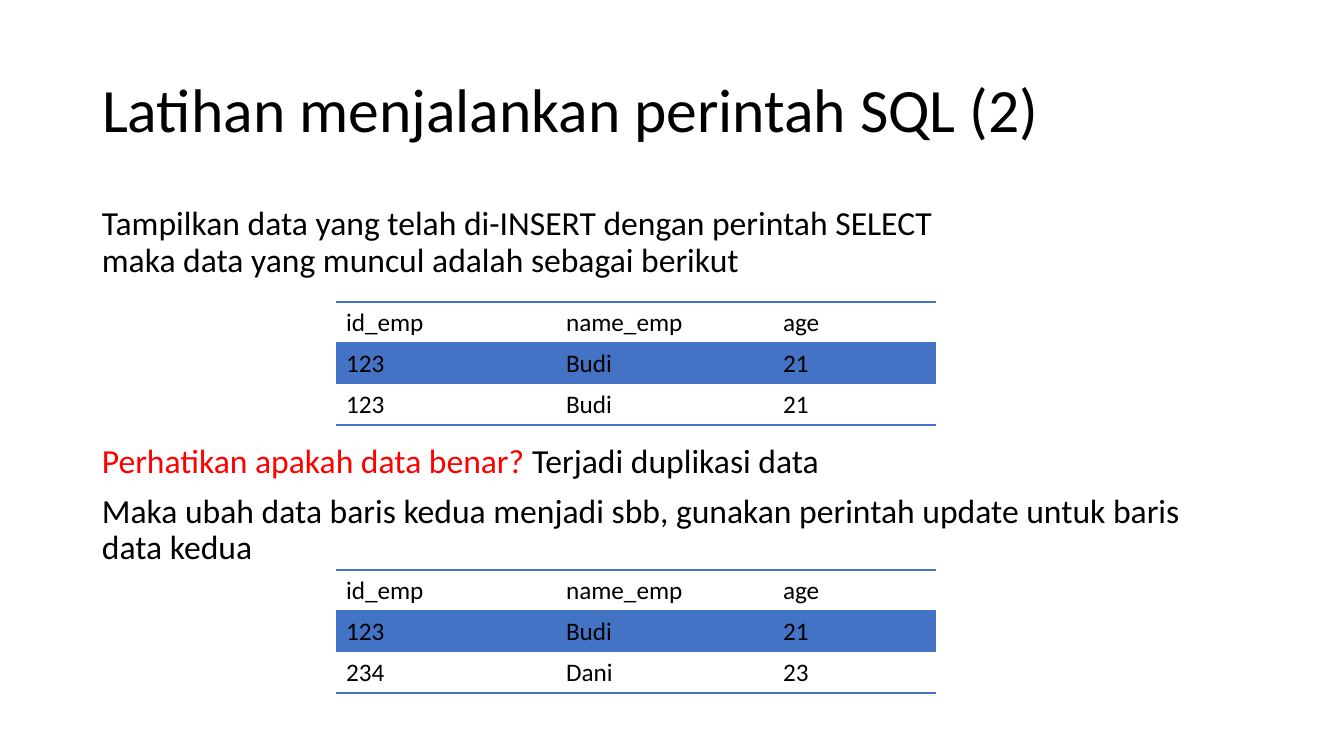
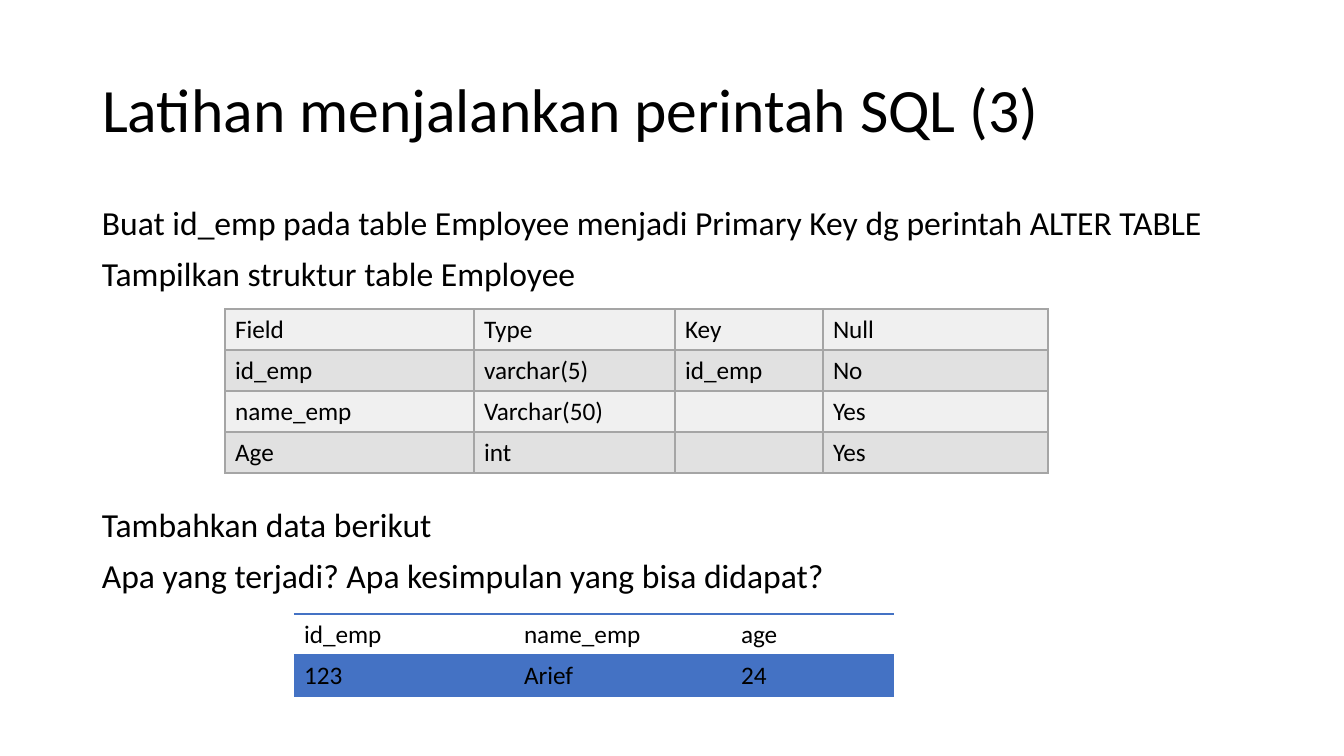
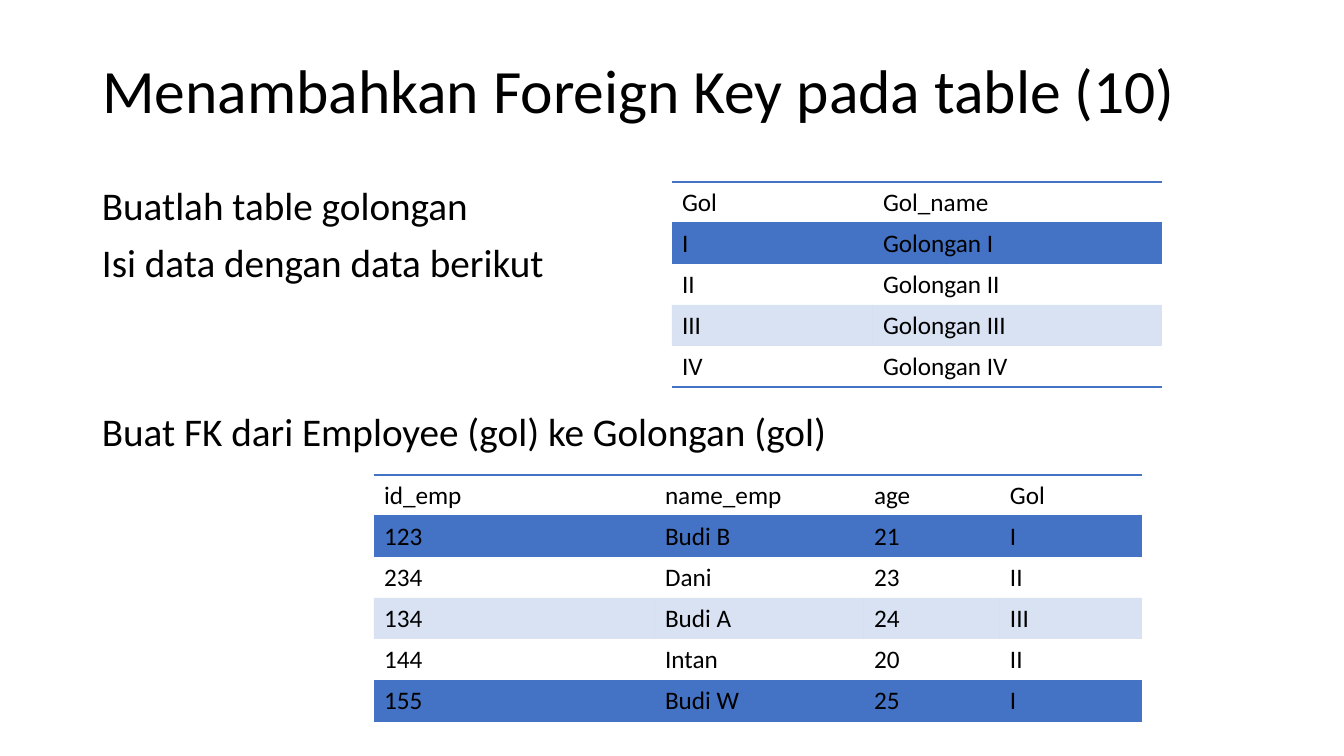
"""Build three slides of SQL exercises with text blocks and data tables."""
from dataclasses import dataclass

from lxml import etree
from pptx import Presentation
from pptx import util as u
from pptx.dml.color import RGBColor
from pptx.enum import text
from pptx.oxml.ns import qn

EMU_PER_PX = 914400 / 100.8
PAGE_WIDTH, PAGE_HEIGHT = 1344, 756
LEFT, TEXT_WIDTH = 92, 1159
TITLE_HEIGHT, ROW_HEIGHT = 146, 41
PLAIN_TABLE_STYLE = "{2D5ABB26-0587-4C30-8999-92F81FD0307C}"


@dataclass(frozen=True)
class Theme:
    font: str = "Calibri"
    ink: str = "000000"
    alert: str = "FF0000"
    accent: str = "4472C4"
    band_opacity: int = 20
    grid: str = "A5A5A5"
    grid_fills: tuple = ("F0F0F0", "E1E1E1")
    title_size: int = 44
    cell_size: int = 18
    line_spacing: float = 0.9
    space_before: int = 10
    border: int = 1


THEME = Theme()

EMPLOYEE_HEADER = ("id_emp", "name_emp", "age")
EMPLOYEE_COLUMNS = (220, 217, 163)

SLIDES = [
    {
        "title": "Latihan menjalankan perintah SQL (2)",
        "title_top": 40,
        "size": 24,
        "blocks": [
            (202, 90, [
                [("Tampilkan data yang telah di-INSERT dengan perintah SELECT\n"
                  "maka data yang muncul adalah sebagai berikut", THEME.ink)],
            ]),
            (439, 131, [
                [("Perhatikan apakah data benar? ", THEME.alert),
                 ("Terjadi duplikasi data", THEME.ink)],
                [("Maka ubah data baris kedua menjadi sbb, gunakan perintah "
                  "update untuk baris data kedua", THEME.ink)],
            ]),
        ],
        "tables": [
            ("banded", 336, 302, EMPLOYEE_COLUMNS, [
                EMPLOYEE_HEADER,
                ("123", "Budi", "21"),
                ("123", "Budi", "21"),
            ]),
            ("banded", 336, 570, EMPLOYEE_COLUMNS, [
                EMPLOYEE_HEADER,
                ("123", "Budi", "21"),
                ("234", "Dani", "23"),
            ]),
        ],
    },
    {
        "title": "Latihan menjalankan perintah SQL (3)",
        "title_top": 40,
        "size": 24,
        "blocks": [
            (202, 100, [
                [("Buat id_emp pada table Employee menjadi Primary Key dg "
                  "perintah ALTER TABLE", THEME.ink)],
                [("Tampilkan struktur table Employee", THEME.ink)],
            ]),
            (504, 100, [
                [("Tambahkan data berikut", THEME.ink)],
                [("Apa yang terjadi? Apa kesimpulan yang bisa didapat?",
                  THEME.ink)],
            ]),
        ],
        "tables": [
            ("grid", 225, 309, (249, 201, 148, 225), [
                ("Field", "Type", "Key", "Null"),
                ("id_emp", "varchar(5)", "id_emp", "No"),
                ("name_emp", "Varchar(50)", "", "Yes"),
                ("Age", "int", "", "Yes"),
            ]),
            ("banded", 294, 614, EMPLOYEE_COLUMNS, [
                EMPLOYEE_HEADER,
                ("123", "Arief", "24"),
            ]),
        ],
    },
    {
        "title": "Menambahkan Foreign Key pada table (10)",
        "title_top": 21,
        "size": 28,
        "blocks": [
            (182, 110, [
                [("Buatlah table golongan", THEME.ink)],
                [("Isi data dengan data berikut", THEME.ink)],
            ]),
            (408, 55, [
                [("Buat FK dari Employee (gol) ke Golongan (gol)", THEME.ink)],
            ]),
        ],
        "tables": [
            ("banded", 672, 182, (201, 289), [
                ("Gol", "Gol_name"),
                ("I", "Golongan I"),
                ("II", "Golongan II"),
                ("III", "Golongan III"),
                ("IV", "Golongan IV"),
            ]),
            ("banded", 374, 475, (281, 209, 136, 142), [
                EMPLOYEE_HEADER + ("Gol",),
                ("123", "Budi B", "21", "I"),
                ("234", "Dani", "23", "II"),
                ("134", "Budi A", "24", "III"),
                ("144", "Intan", "20", "II"),
                ("155", "Budi W", "25", "I"),
            ]),
        ],
    },
]


def px(length):
    return u.Emu(round(length * EMU_PER_PX))


def set_font(paragraph, size, color=THEME.ink):
    paragraph.font.name = THEME.font
    paragraph.font.size = u.Pt(size)
    paragraph.font.color.rgb = RGBColor.from_string(color)


def add_title(page, wording, top):
    title = page.shapes.title
    title.left, title.top = px(LEFT), px(top)
    title.width, title.height = px(TEXT_WIDTH), px(TITLE_HEIGHT)
    frame = title.text_frame
    frame.text = wording
    frame.auto_size = text.MSO_AUTO_SIZE.NONE
    frame.vertical_anchor = text.MSO_ANCHOR.MIDDLE
    paragraph = frame.paragraphs[0]
    paragraph.alignment = text.PP_ALIGN.LEFT
    paragraph.line_spacing = THEME.line_spacing
    set_font(paragraph, THEME.title_size)


def add_span(paragraph, wording, color):
    for index, line in enumerate(wording.split("\n")):
        if index:
            paragraph.add_line_break()
        span = paragraph.add_run()
        span.text = line
        if color != THEME.ink:
            span.font.color.rgb = RGBColor.from_string(color)


def add_block(page, top, height, paragraphs, size):
    box = page.shapes.add_textbox(px(LEFT), px(top), px(TEXT_WIDTH), px(height))
    frame = box.text_frame
    frame.word_wrap = True
    for index, spans in enumerate(paragraphs):
        paragraph = frame.add_paragraph() if index else frame.paragraphs[0]
        paragraph.line_spacing = THEME.line_spacing
        paragraph.space_before = u.Pt(THEME.space_before if index else 0)
        set_font(paragraph, size)
        for wording, color in spans:
            add_span(paragraph, wording, color)


def set_borders(cell, sides, color):
    properties = cell._tc.get_or_add_tcPr()
    for side in "LRTB":
        width = u.Pt(THEME.border) if side in sides else 0
        line = etree.SubElement(properties, qn(f"a:ln{side}"), w=str(width))
        if side in sides:
            fill = etree.SubElement(line, qn("a:solidFill"))
            etree.SubElement(fill, qn("a:srgbClr"), val=color)
        else:
            etree.SubElement(line, qn("a:noFill"))


def fill_cell(cell, color, opacity=100):
    cell.fill.solid()
    cell.fill.fore_color.rgb = RGBColor.from_string(color)
    if opacity < 100:
        tint = cell._tc.tcPr.find(".//" + qn("a:srgbClr"))
        etree.SubElement(tint, qn("a:alpha"), val=str(opacity * 1000))


def style_cell(cell, kind, row, last_row):
    if kind == "grid":
        set_borders(cell, "LRTB", THEME.grid)
        fill_cell(cell, THEME.grid_fills[row % 2])
        return
    sides = {0: "TB", 1: "T", last_row: "B"}.get(row, "")
    if row == 1 == last_row:
        sides = "TB"
    set_borders(cell, sides, THEME.accent)
    if row % 2:
        fill_cell(cell, THEME.accent, THEME.band_opacity)
    else:
        cell.fill.background()


def add_data_table(page, kind, left, top, columns, rows):
    frame = page.shapes.add_table(
        len(rows), len(columns), px(left), px(top),
        px(sum(columns)), px(ROW_HEIGHT * len(rows)))
    table = frame.table
    table._tbl.tblPr.find(qn("a:tableStyleId")).text = PLAIN_TABLE_STYLE
    for column, width in zip(table.columns, columns):
        column.width = px(width)
    for row, values in enumerate(rows):
        table.rows[row].height = px(ROW_HEIGHT)
        for column, value in enumerate(values):
            cell = table.cell(row, column)
            cell.text = value
            set_font(cell.text_frame.paragraphs[0], THEME.cell_size)
            style_cell(cell, kind, row, len(rows) - 1)


def main():
    deck = Presentation()
    deck.slide_width, deck.slide_height = px(PAGE_WIDTH), px(PAGE_HEIGHT)
    title_only = deck.slide_layouts[5]
    for content in SLIDES:
        page = deck.slides.add_slide(title_only)
        add_title(page, content["title"], content["title_top"])
        for block in content["blocks"]:
            add_block(page, *block, content["size"])
        for table in content["tables"]:
            add_data_table(page, *table)
    deck.save("out.pptx")


if __name__ == "__main__":
    main()
